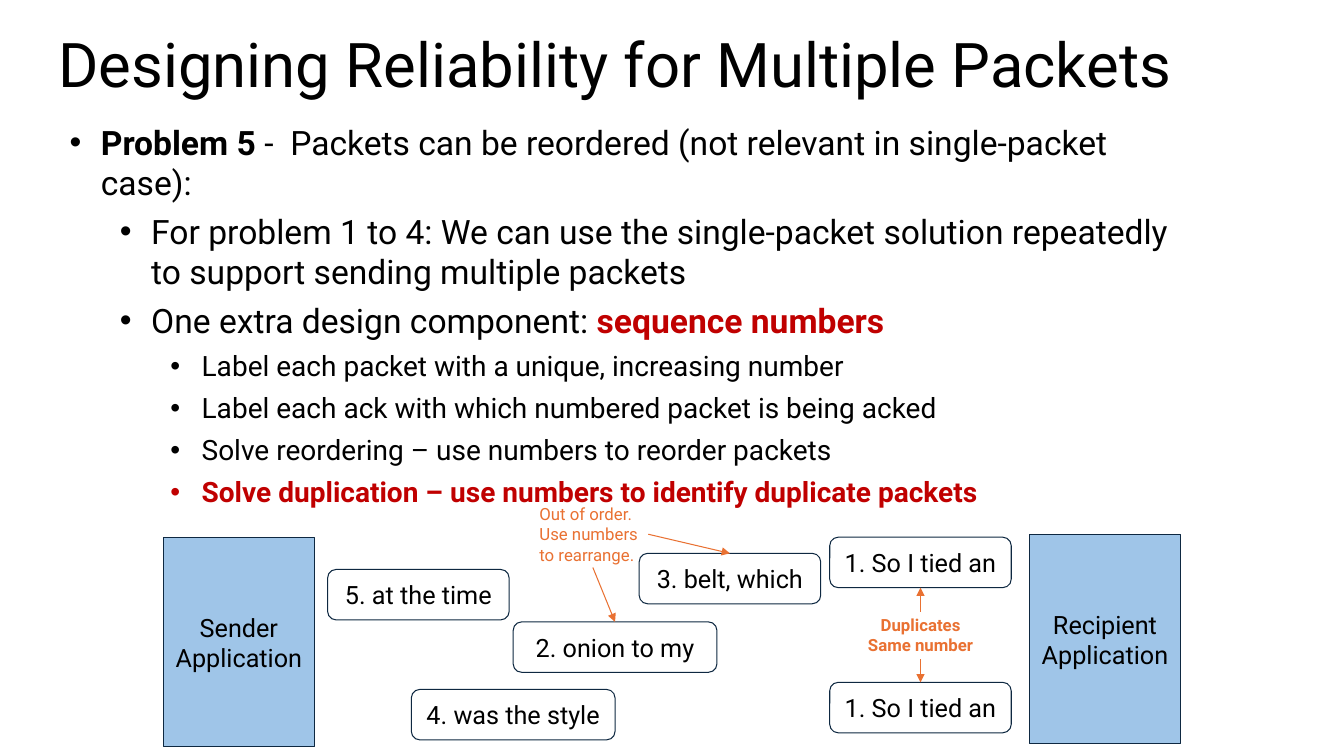
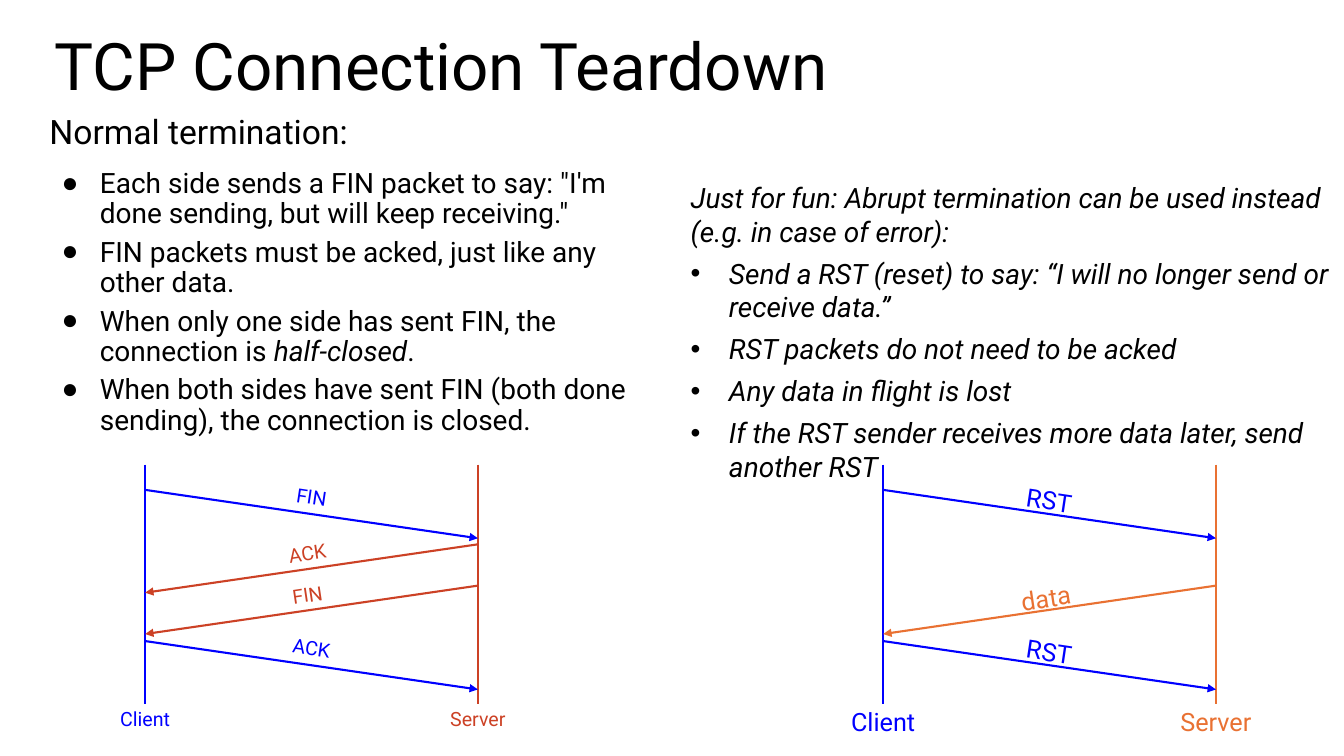
from lxml.etree import SubElement
from pptx import Presentation
from pptx.dml.color import RGBColor
from pptx.enum.shapes import MSO_CONNECTOR, MSO_SHAPE
from pptx.enum.text import MSO_ANCHOR, MSO_AUTO_SIZE, PP_ALIGN
from pptx.oxml.ns import qn
from pptx.util import Inches, Pt

# Shared look
FONT = "Roboto"
BLACK = RGBColor(0x00, 0x00, 0x00)
RED = RGBColor(0xC0, 0x00, 0x00)
NAVY = RGBColor(0x0E, 0x28, 0x41)
SKY = RGBColor(0x9F, 0xC5, 0xE8)
ORANGE = RGBColor(0xE9, 0x71, 0x32)
BLUE = RGBColor(0x00, 0x00, 0xFF)
BRICK = RGBColor(0xCC, 0x41, 0x25)
KEY = {"bold": True, "color": RED}

# Sequence diagram measures, in inches
LIFELINE_TOP, LIFELINE_BOTTOM = 4.61, 6.98
LIFELINE_GAP, MESSAGE_DROP, TILT = 3.3, 0.48, 8.5


def set_attrs(obj, values):
    for name, value in values.items():
        setattr(obj, name, value)


def inches(*lengths):
    return [Inches(n) for n in lengths]


def add_run(p, text, size, color=BLACK, **fmt):
    r = p.add_run()
    r.text = text
    set_attrs(r.font, {"name": FONT, "size": Pt(size), **fmt})
    r.font.color.rgb = color


def format_frame(tf, insets, anchor=MSO_ANCHOR.TOP):
    left, top, right, bottom = inches(*insets)
    set_attrs(tf, {"word_wrap": True, "auto_size": MSO_AUTO_SIZE.NONE,
                   "vertical_anchor": anchor, "margin_left": left,
                   "margin_top": top, "margin_right": right,
                   "margin_bottom": bottom})


def place(sp, box):
    set_attrs(sp, dict(zip(("left", "top", "width", "height"), inches(*box))))


def set_bullet(p, char, left, hanging):
    pPr = p._p.get_or_add_pPr()
    pPr.set("marL", str(Inches(left)))
    pPr.set("indent", str(-Inches(hanging)))
    if char:
        SubElement(pPr, qn("a:buFont")).set("typeface", "Arial")
        SubElement(pPr, qn("a:buChar")).set("char", char)
    else:
        SubElement(pPr, qn("a:buNone"))


# Placeholders
def set_title(s, text, box, size, insets):
    sp = s.shapes.title
    place(sp, box)
    format_frame(sp.text_frame, insets)
    p = sp.text_frame.paragraphs[0]
    set_attrs(p, {"alignment": PP_ALIGN.LEFT, "line_spacing": 0.9})
    add_run(p, text, size)


def fill_body(sp, box, insets, spacing, items):
    """Each item is (paragraph style, runs); a run is (text, font format)."""
    place(sp, box)
    tf = sp.text_frame
    format_frame(tf, insets)
    for i, (style, runs) in enumerate(items):
        p = tf.add_paragraph() if i else tf.paragraphs[0]
        set_attrs(p, {"alignment": PP_ALIGN.LEFT, "space_before": Pt(0),
                      "space_after": Pt(0), **spacing,
                      **style.get("para", {})})
        set_bullet(p, *style["bullet"])
        for text, fmt in runs:
            add_run(p, text, style["size"], **{**style.get("font", {}), **fmt})


# Drawing elements
def write_centered(tf, text, size, align=PP_ALIGN.CENTER, **fmt):
    for i, line in enumerate(text.split("\n")):
        p = tf.add_paragraph() if i else tf.paragraphs[0]
        p.alignment = align
        add_run(p, line, size, **fmt)


def add_box(s, text, box, shape=MSO_SHAPE.ROUNDED_RECTANGLE, fill=None):
    sp = s.shapes.add_shape(shape, *inches(*box))
    sp.shadow.inherit = False
    if fill is None:
        sp.fill.background()
    else:
        sp.fill.solid()
        sp.fill.fore_color.rgb = fill
    sp.line.color.rgb = NAVY
    sp.line.width = Pt(0.75)
    format_frame(sp.text_frame, [0.1] * 4, MSO_ANCHOR.MIDDLE)
    write_centered(sp.text_frame, text, 18)


def add_label(s, text, box, size, color, rotation=0, insets=(0.03,) * 4, **fmt):
    sp = s.shapes.add_textbox(*inches(*box))
    sp.rotation = rotation
    format_frame(sp.text_frame, insets)
    write_centered(sp.text_frame, text, size, color=color, **fmt)


def add_line(s, start, end, color, width, arrow=True):
    line = s.shapes.add_connector(MSO_CONNECTOR.STRAIGHT,
                                  *inches(*start, *end))
    line.line.color.rgb = color
    line.line.width = Pt(width)
    if arrow:
        SubElement(line.line._get_or_add_ln(), qn("a:tailEnd")).set(
            "type", "triangle")
    SubElement(line._element.spPr, qn("a:effectLst"))


def add_sequence(s, client_x, server_color, size, messages):
    """Each message is (label, start height, sent by the client)."""
    server_x = client_x + LIFELINE_GAP
    for name, x, color, width in (("Client", client_x, BLUE, 1.2),
                                  ("Server", server_x, server_color, 1.3)):
        add_line(s, (x, LIFELINE_TOP), (x, LIFELINE_BOTTOM), color, 1.5, False)
        add_label(s, name, (x - width / 2, LIFELINE_BOTTOM, width, 0.3),
                  size, color, insets=(0.1, 0.03, 0.1, 0.03))
    for text, y, from_client in messages:
        if from_client:
            start, end, color = client_x, server_x, BLUE
            rotation, dx, dy = TILT, 1.22, -0.08
        else:
            start, end, color = server_x, client_x, server_color
            rotation, dx, dy = 360 - TILT, 1.18, -0.06
        add_line(s, (start, y), (end, y + MESSAGE_DROP), color, 1.5)
        add_label(s, text, (client_x + dx, y + dy, 0.86, 0.31),
                  size, color, rotation)


# Slides
def build_packets(prs):
    s = prs.slides.add_slide(prs.slide_layouts[1])
    set_title(s, "Designing Reliability for Multiple Packets",
              (0.45, 0.21, 12.42, 1.22), 44, [0.13] * 4)
    top, sub, detail = (
        {"size": size, "bullet": ("•", 0.31 + 0.5 * level, 0.31),
         "para": {"level": level}}
        for level, size in enumerate((24, 24, 20)))
    fill_body(s.placeholders[1], (0.59, 1.16, 11.45, 3.57),
              (0.1, 0.05, 0.1, 0.05), {"space_after": Pt(6)}, [
        (top, [("Problem 5 ", {"bold": True}),
               ("-  Packets can be reordered (not relevant in "
                "single-packet case):", {})]),
        (sub, [("For problem 1 to 4: We can use the single-packet solution "
                "repeatedly to support sending multiple packets", {})]),
        (sub, [("One extra design component: ", {}),
               ("sequence numbers", KEY)]),
        (detail, [("Label each packet with a unique, increasing number", {})]),
        (detail, [("Label each ack with which numbered packet is being acked",
                   {})]),
        (detail, [("Solve reordering – use numbers to reorder packets", {})]),
        (detail, [("Solve duplication – use numbers to identify duplicate "
                   "packets", KEY)]),
    ])

    # Hosts and packets in flight
    for name, x, y in (("Sender", 1.62, 5.33), ("Recipient", 10.21, 5.3)):
        add_box(s, name + "\nApplication", (x, y, 1.5, 2.08),
                MSO_SHAPE.RECTANGLE, SKY)
    for text, x, y, width in (("4. was the style", 4.08, 6.84, 2.02),
                              ("5. at the time", 3.25, 5.65, 1.8),
                              ("2. onion to my", 5.09, 6.17, 2.02),
                              ("3. belt, which", 6.34, 5.49, 1.8),
                              ("1. So I tied an", 8.23, 5.33, 1.8),
                              ("1. So I tied an", 8.23, 6.77, 1.8)):
        add_box(s, text, (x, y, width, 0.5))

    # Remarks and their arrows
    add_label(s, "Out of order. Use numbers to rearrange.",
              (5.32, 4.97, 1.11, 0.67), 12, ORANGE, align=PP_ALIGN.LEFT)
    add_label(s, "Duplicates Same number", (8.52, 6.07, 1.22, 0.46), 12,
              ORANGE, bold=True)
    for start, end in (((6.43, 5.3), (7.24, 5.49)), ((5.88, 5.63), (6.1, 6.17)),
                       ((9.13, 6.07), (9.13, 5.83)),
                       ((9.13, 6.54), (9.13, 6.77))):
        add_line(s, start, end, ORANGE, 0.75)


def build_teardown(prs):
    s = prs.slides.add_slide(prs.slide_layouts[3])
    set_title(s, "TCP Connection Teardown", (0.44, 0.29, 12.46, 0.98), 46.8,
              (0.1, 0.05, 0.1, 0.05))

    # Normal termination
    lead = {"size": 24, "bullet": (None, 0, 0), "para": {"space_before": Pt(6)}}
    point = {"size": 20, "bullet": ("●", 0.5, 0.38)}
    first = {**point, "para": {"space_before": Pt(6)}}
    fill_body(s.placeholders[1], (0.39, 1.05, 6.17, 3.46), [0.1] * 4,
              {"line_spacing": 0.9, "space_after": Pt(6)}, [
        (lead, [("Normal termination:", {})]),
        (first, [("Each side sends a FIN packet to say: \"I'm done sending, "
                  "but will keep receiving.\"", {})]),
        (point, [("FIN packets must be acked, just like any other data.", {})]),
        (point, [("When only one side has sent FIN, the connection is ", {}),
                 ("half-closed", {"italic": True}), (".", {})]),
        (point, [("When both sides have sent FIN (both done sending), the "
                  "connection is closed.", {})]),
    ])
    add_sequence(s, 1.44, BRICK, 14, [
        ("FIN", 4.86, True), ("ACK", 5.4, False),
        ("FIN", 5.81, False), ("ACK", 6.36, True)])

    # Abrupt termination
    aside = {"size": 20, "bullet": (None, 0, 0), "font": {"italic": True}}
    aside_point = {**aside, "bullet": ("•", 0.38, 0.38)}
    fill_body(s.placeholders[2], (6.75, 1.74, 6.67, 3.13),
              (0.1, 0.05, 0.1, 0.05), {"space_before": Pt(6)}, [
        (aside, [("Just for fun: Abrupt termination can be used instead "
                  "(e.g. in case of error):", {})]),
        (aside_point, [("Send a RST (reset) to say: “I will no longer send or "
                        "receive data.”", {})]),
        (aside_point, [("RST packets do not need to be acked", {})]),
        (aside_point, [("Any data in flight is lost", {})]),
        (aside_point, [("If the RST sender receives more data later, send "
                        "another RST", {})]),
    ])
    add_sequence(s, 8.76, ORANGE, 18, [
        ("RST", 4.86, True), ("data", 5.81, False), ("RST", 6.36, True)])


def main():
    prs = Presentation()
    prs.slide_width, prs.slide_height = inches(13.33, 7.5)
    build_packets(prs)
    build_teardown(prs)
    prs.save("out.pptx")


if __name__ == "__main__":
    main()
